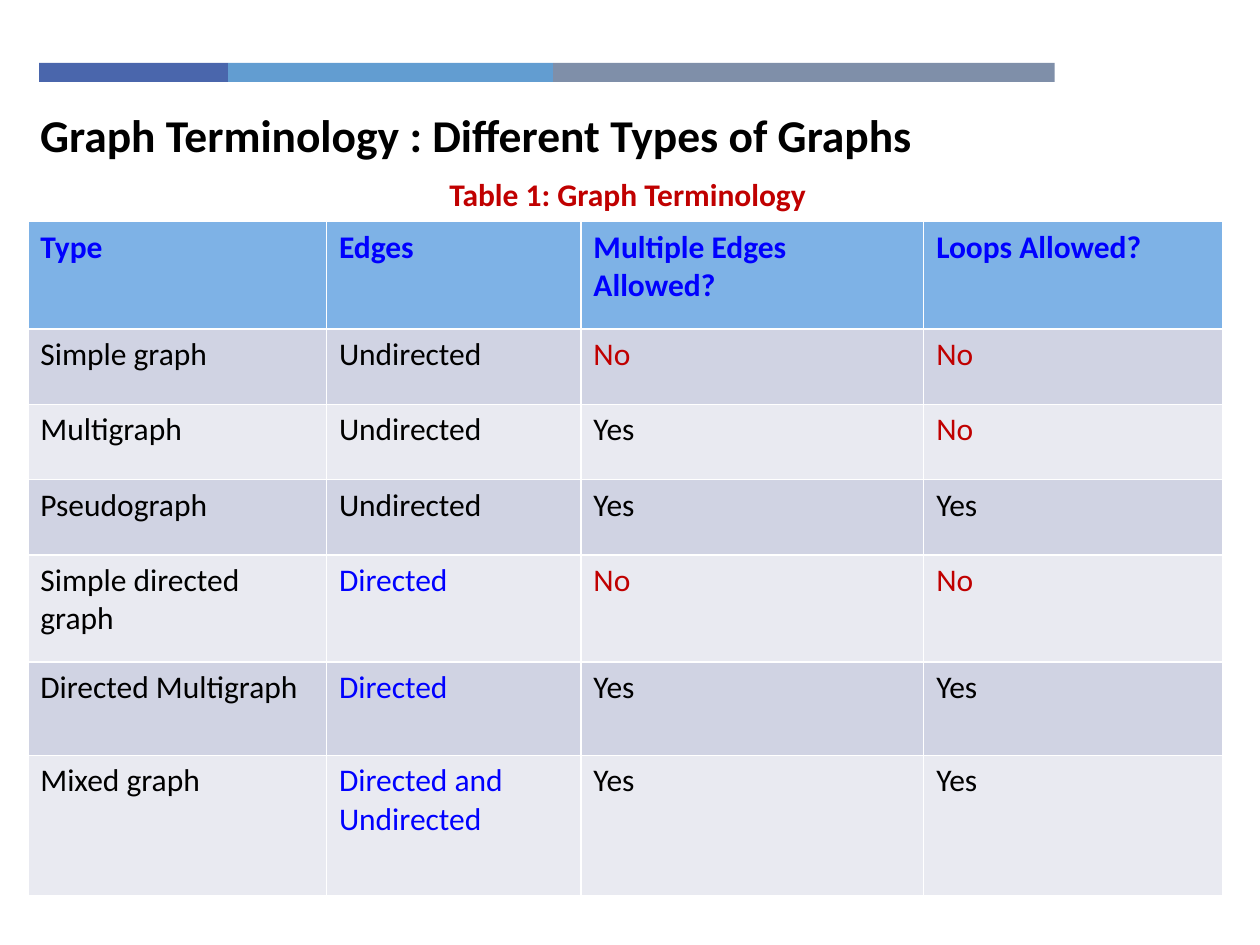
"""Build the slide that compares the types of graphs in a table."""
from dataclasses import dataclass

from pptx import Presentation
from pptx import util as u
from pptx.dml.color import RGBColor
from pptx.enum import shapes, text

TITLE = "Graph Terminology : Different Types of Graphs"
CAPTION = "Table 1: Graph Terminology"
ROWS = [
    ("Type", "Edges", "Multiple Edges Allowed?", "Loops Allowed?"),
    ("Simple graph", "Undirected", "No", "No"),
    ("Multigraph", "Undirected", "Yes", "No"),
    ("Pseudograph", "Undirected", "Yes", "Yes"),
    ("Simple directed graph", "Directed", "No", "No"),
    ("Directed Multigraph", "Directed", "Yes", "Yes"),
    ("Mixed graph", "Directed and Undirected", "Yes", "Yes"),
]
COLUMN_WIDTHS = [6.02, 5.13, 6.91, 6.02]
ROW_HEIGHTS = [2.16, 1.52, 1.52, 1.52, 2.16, 1.88, 2.82]
STRIPES = [(3.81, "4A66AC"), (6.55, "629DD1"), (10.11, "7F8FA9")]


@dataclass(frozen=True)
class Theme:
    font: str = "Calibri"
    title_size: int = 26
    body_size: int = 18
    ink: str = "000000"
    red: str = "C00000"
    blue: str = "0000FF"
    header: str = "7EB2E6"
    bands: tuple = ("D0D3E3", "E9EAF1")


THEME = Theme()


def write(text_frame, content, size, color, bold):
    text_frame.text = content
    font = text_frame.paragraphs[0].runs[0].font
    font.name, font.size, font.bold = THEME.font, u.Pt(size), bold
    font.color.rgb = RGBColor.from_string(color)


def add_stripes(slide, left, top, height):
    for width, color in STRIPES:
        shape = slide.shapes.add_shape(
            shapes.MSO_SHAPE.RECTANGLE, u.Cm(left), u.Cm(top), u.Cm(width), u.Cm(height))
        shape.shadow.inherit = False
        shape.fill.solid()
        shape.fill.fore_color.rgb = RGBColor.from_string(color)
        shape.line.fill.background()
        left += width


def add_label(slide, box, content, size, color, wrap):
    text_frame = slide.shapes.add_textbox(*map(u.Cm, box)).text_frame
    text_frame.word_wrap = wrap
    write(text_frame, content, size, color, True)
    return text_frame


def cell_color(row, content):
    if row == 0 or content.startswith("Directed and") or content == "Directed":
        return THEME.blue
    return THEME.red if content == "No" else THEME.ink


def add_graph_table(slide, left, top):
    table = slide.shapes.add_table(
        len(ROWS), len(COLUMN_WIDTHS), u.Cm(left), u.Cm(top),
        u.Cm(sum(COLUMN_WIDTHS)), u.Cm(sum(ROW_HEIGHTS))).table
    for column, width in zip(table.columns, COLUMN_WIDTHS):
        column.width = u.Cm(width)
    for r, (contents, height) in enumerate(zip(ROWS, ROW_HEIGHTS)):
        table.rows[r].height = u.Cm(height)
        fill = THEME.bands[(r - 1) % 2] if r else THEME.header
        for c, content in enumerate(contents):
            cell = table.cell(r, c)
            cell.fill.solid()
            cell.fill.fore_color.rgb = RGBColor.from_string(fill)
            write(cell.text_frame, content, THEME.body_size, cell_color(r, content), r == 0)


def main():
    presentation = Presentation()
    presentation.slide_width, presentation.slide_height = u.Cm(25.4), u.Cm(19.05)
    slide = presentation.slides.add_slide(presentation.slide_layouts[6])
    add_stripes(slide, 0.79, 1.27, 0.38)
    add_label(slide, (0.56, 2.03, 18.19, 1.37), TITLE, THEME.title_size, THEME.ink, True)
    caption = add_label(
        slide, (8.81, 3.4, 7.77, 1.02), CAPTION, THEME.body_size, THEME.red, False)
    caption.auto_size = text.MSO_AUTO_SIZE.SHAPE_TO_FIT_TEXT
    add_graph_table(slide, 0.56, 4.47)
    presentation.save("out.pptx")


if __name__ == "__main__":
    main()
